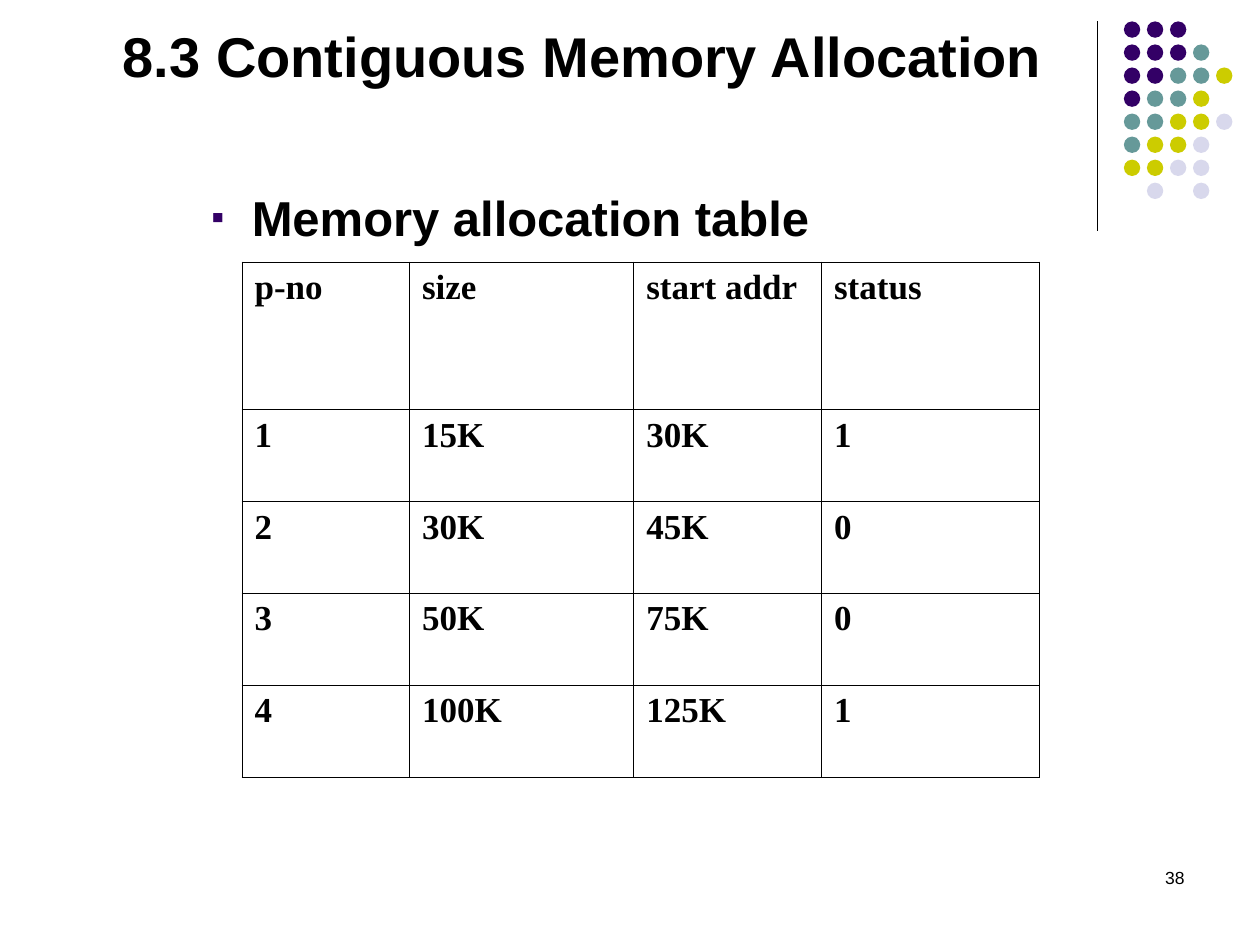
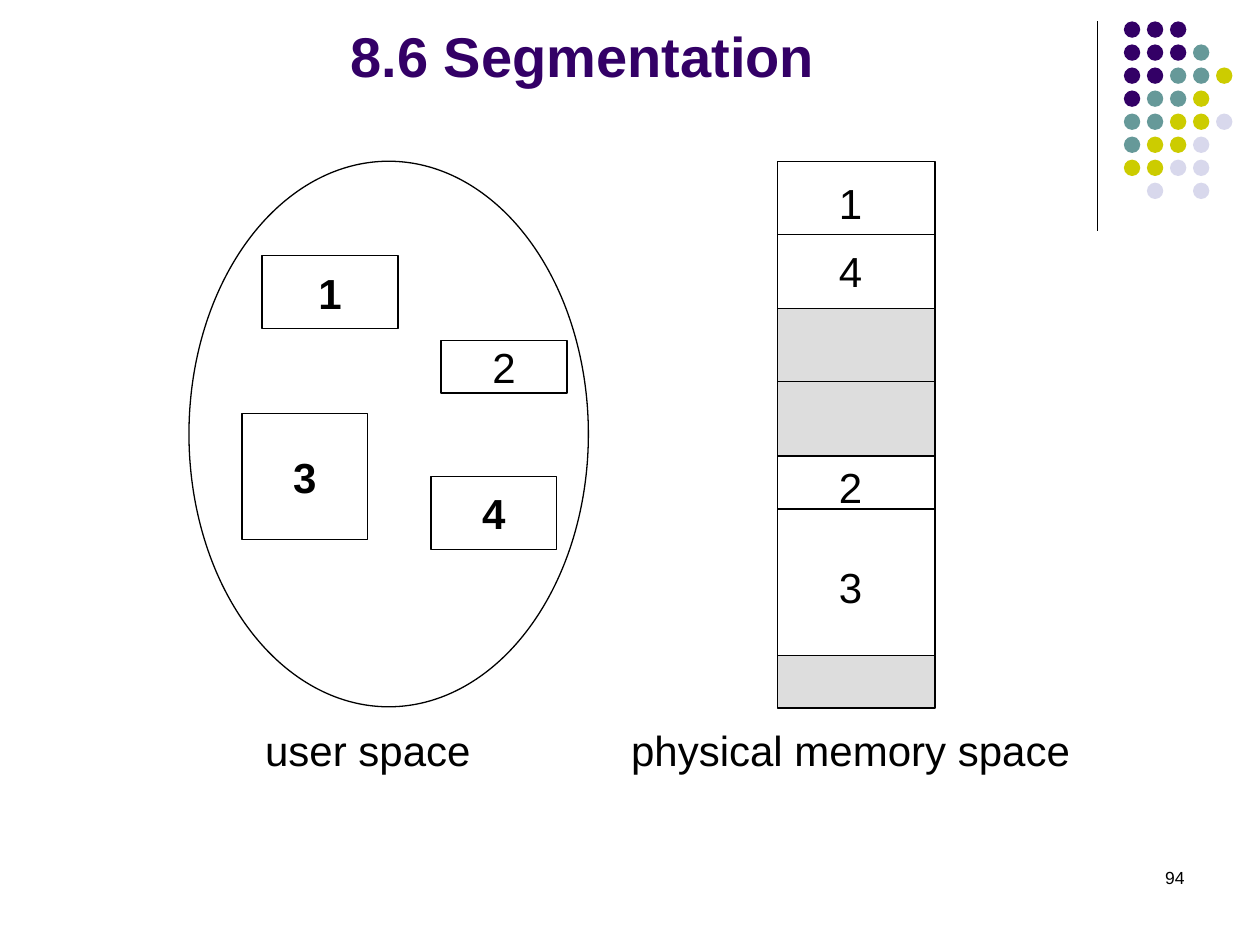
from dataclasses import dataclass

from lxml.etree import SubElement as add_element
from pptx import Presentation
from pptx.dml.color import RGBColor
from pptx.enum.shapes import MSO_CONNECTOR as Connector
from pptx.enum.shapes import MSO_SHAPE as Preset
from pptx.enum.text import MSO_ANCHOR as Anchor
from pptx.enum.text import PP_ALIGN as Align
from pptx.oxml.ns import qn
from pptx.util import Inches, Pt


@dataclass(frozen=True)
class Theme:
    black: str = "000000"
    white: str = "FFFFFF"
    purple: str = "330066"
    teal: str = "669999"
    yellow: str = "CCCC00"
    lavender: str = "D8D8EC"
    gray: str = "DDDDDD"
    sans: str = "Arial"
    serif: str = "Times New Roman"
    title_size: float = 32
    bullet_size: float = 28
    label_size: float = 24
    cell_size: float = 20
    number_size: float = 10
    line_width: float = 0.75
    border_width: float = 0.45


THEME = Theme()


@dataclass(frozen=True)
class Box:
    left: float
    top: float
    width: float
    height: float

    def inner(self, left, top, width, height):
        return Box(self.left + left, self.top + top, width, height)

    def lengths(self):
        return [Inches(n) for n in (self.left, self.top, self.width, self.height)]


TITLE_BOX = Box(0.5, 0.13, 8.25, 0.62)
NUMBER_BOX = Box(7.17, 6.83, 2.33, 0.5)
CORNER_BOX = Box(8.71, 0.17, 1.07, 1.66)

DOT_COLORS = {"P": THEME.purple, "T": THEME.teal, "Y": THEME.yellow, "L": THEME.lavender}
DOT_ROWS = ["PPP", "PPPT", "PPTTY", "PTTY", "TTYYL", "TYYL", "YYLL", " L L"]

PARTITIONS = [
    ["p-no", "size", "start addr", "status"],
    ["1", "15K", "30K", "1"],
    ["2", "30K", "45K", "0"],
    ["3", "50K", "75K", "0"],
    ["4", "100K", "125K", "1"],
]
COLUMN_WIDTHS = [1.33, 1.78, 1.49, 1.73]
ROW_HEIGHTS = [1.17] + [0.73] * 4

# Label, bold, and place within the user space
SEGMENTS = [
    ("1", True, (0.58, 0.75, 1.08, 0.58)),
    ("3", True, (0.42, 2, 1, 1)),
    ("2", False, (2, 1.42, 1, 0.42)),
    ("4", True, (1.92, 2.5, 1, 0.58)),
]
# Height, fill, and offset of the divider within the block
MEMORY_BLOCKS = [
    (1.17, THEME.white, 0.58),
    (1.17, THEME.gray, 0.58),
    (1.58, THEME.white, 0.42),
    (0.42, THEME.gray, None),
]
MEMORY_LABELS = [("1", 0.08), ("4", 0.62), ("2", 2.33), ("3", 3.13)]


# Shared helpers
def color(value):
    return RGBColor.from_string(value)


def apply(target, formats):
    for name, value in formats.items():
        setattr(target, name, value)


def write(frame, text, size, align=Align.LEFT, bold=False, ink=THEME.black, font=THEME.sans):
    paragraph = frame.paragraphs[0]
    paragraph.alignment = align
    run = paragraph.add_run()
    run.text = text
    apply(run.font, {"name": font, "size": Pt(size), "bold": bold})
    run.font.color.rgb = color(ink)
    return paragraph


def add_text(slide, box, text, size, anchor=Anchor.TOP, wrap=True, **style):
    frame = slide.shapes.add_textbox(*box.lengths()).text_frame
    apply(frame, {"word_wrap": wrap, "vertical_anchor": anchor})
    return write(frame, text, size, **style)


def add_label(slide, box, text):
    add_text(slide, box, text, THEME.label_size, Anchor.MIDDLE, wrap=False, align=Align.CENTER)


def add_preset(slide, preset, box, fill, outlined=True):
    shape = slide.shapes.add_shape(preset, *box.lengths())
    shape.shadow.inherit = False
    shape.fill.solid()
    shape.fill.fore_color.rgb = color(fill)
    if outlined:
        shape.line.color.rgb = color(THEME.black)
        shape.line.width = Pt(THEME.line_width)
    else:
        shape.line.fill.background()
    return shape


def add_line(slide, left, top, width, height):
    ends = [Inches(n) for n in (left, top, left + width, top + height)]
    line = slide.shapes.add_connector(Connector.STRAIGHT, *ends)
    line.line.color.rgb = color(THEME.black)
    line.line.width = Pt(THEME.line_width)
    add_element(line._element.spPr, qn("a:effectLst"))


def add_solid_fill(parent, value):
    fill = add_element(parent, qn("a:solidFill"))
    add_element(fill, qn("a:srgbClr"), val=value)


# Rule and dot pattern in the top right corner
def add_corner(slide, box):
    add_line(slide, box.left, box.top, 0, box.height)
    pitch = 1.28 / 7
    for row, dots in enumerate(DOT_ROWS):
        for column, key in enumerate(dots):
            if key in DOT_COLORS:
                dot = box.inner(0.21 + column * pitch, row * pitch, 0.13, 0.13)
                add_preset(slide, Preset.OVAL, dot, DOT_COLORS[key], outlined=False)


# Frame common to every slide
def add_base_slide(presentation, title, title_color, number):
    slide = presentation.slides.add_slide(presentation.slide_layouts[6])
    add_corner(slide, CORNER_BOX)
    add_text(slide, NUMBER_BOX, number, THEME.number_size, align=Align.RIGHT)
    add_text(slide, TITLE_BOX, title, THEME.title_size, Anchor.BOTTOM,
             align=Align.CENTER, bold=True, ink=title_color)
    return slide


def add_bullet_line(slide, box, text):
    paragraph = add_text(slide, box, text, THEME.bullet_size, bold=True)
    properties = paragraph._p.get_or_add_pPr()
    properties.set("marL", str(Inches(1.4)))
    properties.set("indent", str(-Inches(0.32)))
    bullet_color = add_element(properties, qn("a:buClr"))
    add_element(bullet_color, qn("a:srgbClr"), val=THEME.purple)
    add_element(properties, qn("a:buSzPct"), val="75000")
    add_element(properties, qn("a:buFont"), typeface=THEME.sans)
    add_element(properties, qn("a:buChar"), char="▪")


def style_cell(cell):
    properties = cell._tc.get_or_add_tcPr()
    for side in ("lnL", "lnR", "lnT", "lnB"):
        border = add_element(properties, qn(f"a:{side}"), w=str(Pt(THEME.border_width)))
        add_solid_fill(border, THEME.black)
    cell.fill.background()


def add_partition_table(slide, box):
    table = slide.shapes.add_table(len(PARTITIONS), len(COLUMN_WIDTHS), *box.lengths()).table
    apply(table, {"first_row": False, "horz_banding": False})
    for column, width in zip(table.columns, COLUMN_WIDTHS):
        column.width = Inches(width)
    for row, height, values in zip(table.rows, ROW_HEIGHTS, PARTITIONS):
        row.height = Inches(height)
        for cell, value in zip(row.cells, values):
            style_cell(cell)
            write(cell.text_frame, value, THEME.cell_size, bold=True, font=THEME.serif)


def add_user_space(slide, box):
    add_preset(slide, Preset.OVAL, box, THEME.white)
    for text, bold, place in SEGMENTS:
        segment = add_preset(slide, Preset.RECTANGLE, box.inner(*place), THEME.white)
        apply(segment.text_frame, {"word_wrap": False, "vertical_anchor": Anchor.MIDDLE})
        write(segment.text_frame, text, THEME.label_size, Align.CENTER, bold)
    add_label(slide, box.inner(0.47, 4.42, 1.9, 0.5), "user space")


def add_physical_memory(slide, box):
    top = 0
    for height, fill, divider in MEMORY_BLOCKS:
        block = box.inner(0, top, box.width, height)
        add_preset(slide, Preset.RECTANGLE, block, fill)
        if divider is not None:
            add_line(slide, block.left, block.top + divider, block.width, 0)
        top += height
    for text, label_top in MEMORY_LABELS:
        add_label(slide, box.inner(0.39, label_top, 0.38, 0.5), text)
    add_label(slide, box.inner(-1.26, 4.42, 3.68, 0.5), "physical memory space")


# Slides
def add_allocation_slide(presentation):
    slide = add_base_slide(presentation, "8.3 Contiguous Memory Allocation", THEME.black, "38")
    add_bullet_line(slide, Box(0.5, 1.44, 8, 0.55), "Memory allocation table")
    add_partition_table(slide, Box(1.92, 2.08, sum(COLUMN_WIDTHS), sum(ROW_HEIGHTS)))


def add_segmentation_slide(presentation):
    slide = add_base_slide(presentation, "8.6 Segmentation", THEME.purple, "94")
    add_user_space(slide, Box(1.5, 1.28, 3.17, 4.33))
    add_physical_memory(slide, Box(6.17, 1.28, 1.25, 4.33))


def main():
    presentation = Presentation()
    apply(presentation, {"slide_width": Inches(10), "slide_height": Inches(7.5)})
    add_allocation_slide(presentation)
    add_segmentation_slide(presentation)
    presentation.save("out.pptx")


if __name__ == "__main__":
    main()
